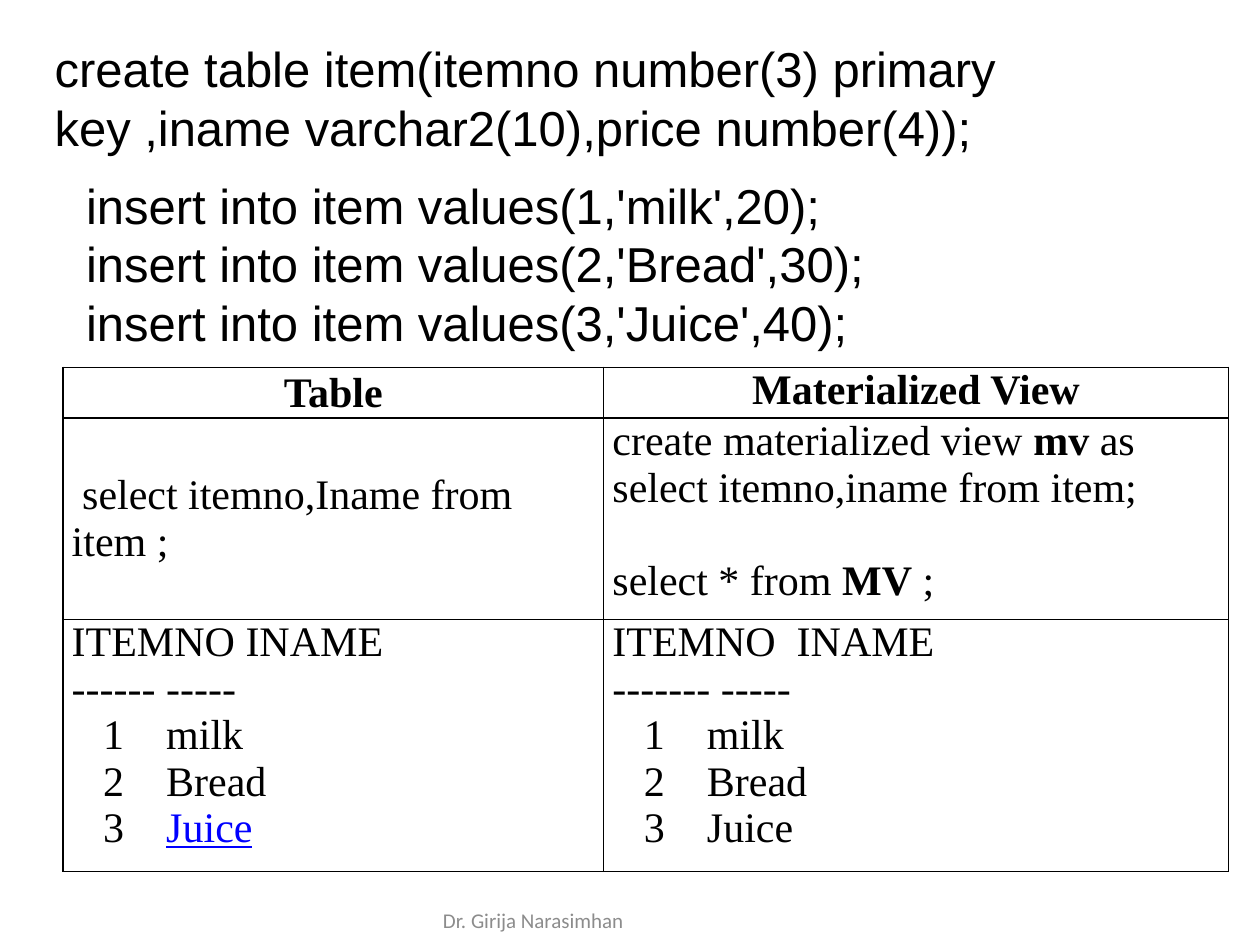
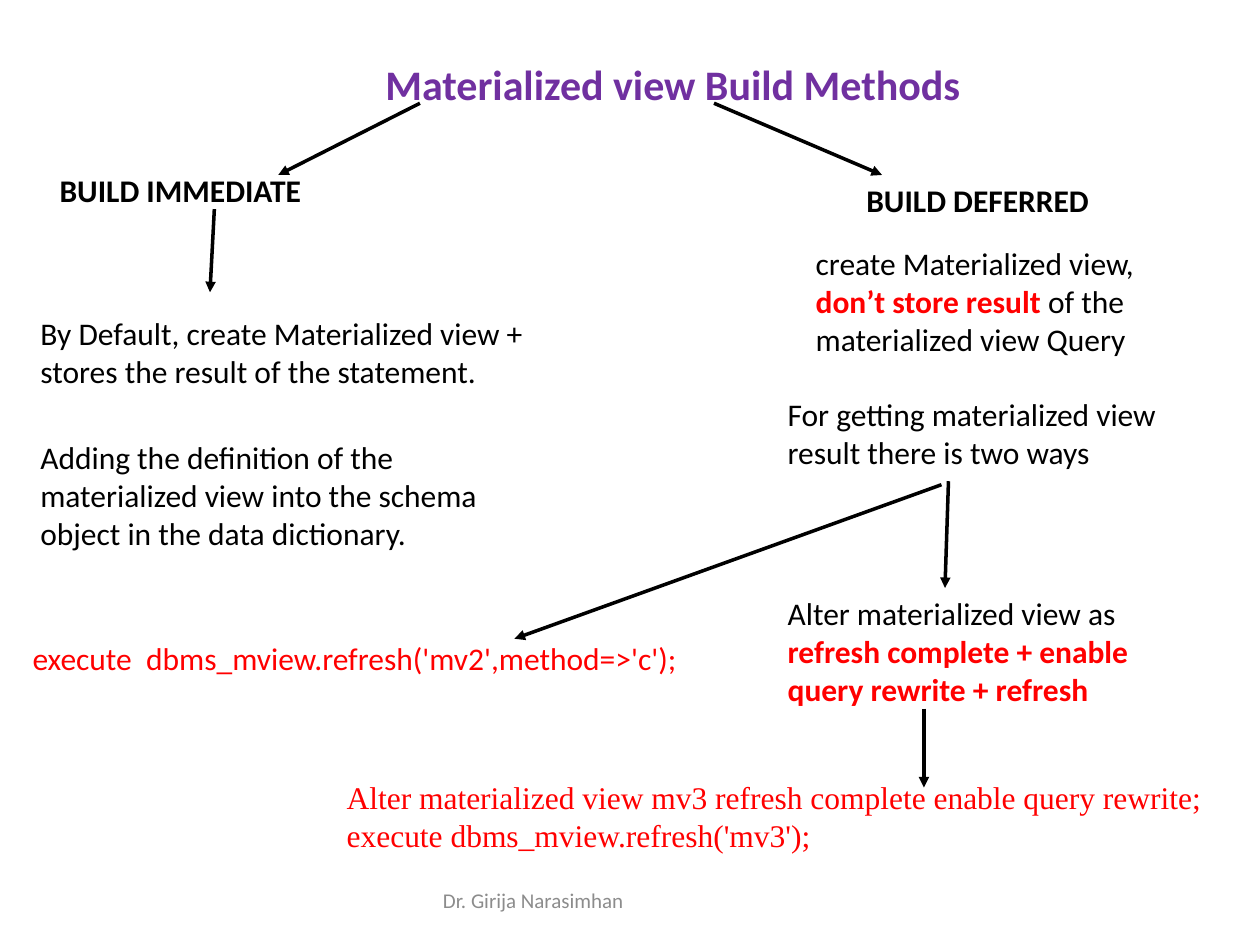
"""Build two slides on materialized views: a table comparison and the build methods."""
import dataclasses

import lxml.etree
import pptx
import pptx.dml.color
import pptx.enum.shapes
import pptx.enum.text
import pptx.oxml.ns
import pptx.util

Pt = pptx.util.Pt
ALIGN = pptx.enum.text.PP_ALIGN
ANCHOR = pptx.enum.text.MSO_ANCHOR


@dataclasses.dataclass(frozen=True)
class Theme:
    """Colours, fonts and type sizes of the deck."""
    ink: str = "000000"
    accent: str = "7030A0"
    alert: str = "FF0000"
    link: str = "0000FF"
    muted: str = "8C8C8C"
    sans: str = "Calibri"
    code: str = "Arial"
    serif: str = "Times New Roman"
    code_size: int = 28
    head_size: int = 24
    body_size: int = 18
    foot_size: int = 12
    arrow_width: int = 2
    border_width: int = 1


T = Theme()
BOLD = {"bold": True}
STRONG = {"bold": True, "color": T.alert}

FOOTER = "Dr. Girija Narasimhan"

CREATE_SQL = ["create table item(itemno number(3) primary key ,iname varchar2(10),price number(4));"]
INSERT_SQL = [f"insert into item values({row});" for row in ("1,'milk',20", "2,'Bread',30", "3,'Juice',40")]
ITEMS = ["1\tmilk", "2\tBread"]

COLUMNS = [309, 357]
ROWS = [29, 115, 144]
LISTED = {"margin": 54, "indent": -36, "first_listed": 2}
COMPARISON = [
    [
        (["Table"], {"bold": True, "align": ALIGN.CENTER, "anchor": ANCHOR.MIDDLE}),
        (["Materialized View"], {"bold": True, "align": ALIGN.CENTER}),
    ],
    [
        (["select itemno,Iname from item ;"], {"indent": 6, "anchor": ANCHOR.MIDDLE}),
        ([["create materialized view ", ("mv", BOLD), " as select itemno,iname from item;"],
          ["select * from ", ("MV", BOLD), " ;"]], {"gap": 27}),
    ],
    [
        (["ITEMNO INAME", "------ -----", *ITEMS,
          ["3\t", ("Juice", {"color": T.link, "underline": True})]], LISTED),
        (["ITEMNO  INAME", "------- -----", *ITEMS, "3\tJuice"], LISTED),
    ],
]

METHODS_TITLE = ["Materialized view Build Methods"]
METHOD_NOTES = [
    ((27, 94, 158, 29), ["BUILD IMMEDIATE"], BOLD),
    ((488, 100, 144, 29), ["BUILD DEFERRED"], BOLD),
    ((16, 176, 336, 51), ["By Default, create Materialized view + stores the result of the statement."], {}),
    ((16, 247, 266, 73),
     ["Adding the definition of the materialized view into the schema object in the data dictionary."], {}),
    ((459, 136, 212, 73),
     [["create Materialized view, ", ("don’t store result ", STRONG), "of the materialized view Query"]], {}),
    ((443, 222, 246, 51), ["For getting materialized view result there is two ways"], {}),
    ((443, 336, 229, 73),
     [["Alter materialized view as ", ("refresh complete + enable query rewrite + refresh", STRONG)]], {}),
    ((11.5, 361.5, 456, 29), ["execute  dbms_mview.refresh('mv2',method=>'c');"], {"color": T.alert}),
    ((191, 441, 531, 73),
     ["Alter materialized view mv3 refresh complete enable query rewrite;",
      "execute dbms_mview.refresh('mv3');"], {"color": T.alert, "font": T.serif}),
]
METHOD_ARROWS = [
    ((240, 59), (159, 100)),
    ((408, 59), (504, 100)),
    ((122.5, 119.5), (120, 167)),
    ((538, 277), (294, 365)),
    ((542, 275), (540, 336)),
    ((528, 405), (528, 450)),
]


def write_text(tf, paragraphs, *, size=T.body_size, font=T.sans, color=T.ink, bold=False,
               align=ALIGN.LEFT, anchor=ANCHOR.TOP, gap=0, margin=0, indent=0, first_listed=0):
    """Fill a text frame; a paragraph is a string or a list of strings and (text, format) runs."""
    tf.word_wrap = True
    tf.vertical_anchor = anchor
    for i, runs in enumerate(paragraphs):
        p = tf.add_paragraph() if i else tf.paragraphs[0]
        p.alignment = align
        p.space_before = Pt(gap if i else 0)
        pPr = p._p.get_or_add_pPr()
        listed = i >= first_listed
        pPr.set("marL", str(Pt(margin if listed else 0)))
        pPr.set("indent", str(Pt(indent if listed else 0)))
        lxml.etree.SubElement(pPr, pptx.oxml.ns.qn("a:buNone"))
        for run in [runs] if isinstance(runs, str) else runs:
            text, extra = (run, {}) if isinstance(run, str) else run
            r = p.add_run()
            r.text = text
            r.font.name = font
            r.font.size = Pt(size)
            r.font.bold = extra.get("bold", bold)
            r.font.underline = extra.get("underline", False)
            r.font.color.rgb = pptx.dml.color.RGBColor.from_string(extra.get("color", color))


def place(sp, box):
    """Move a shape to a box and return its text frame."""
    sp.left, sp.top, sp.width, sp.height = map(Pt, box)
    return sp.text_frame


def add_text(s, box, paragraphs, **fmt):
    """Add a text box with formatted paragraphs."""
    write_text(s.shapes.add_textbox(*map(Pt, box)).text_frame, paragraphs, **fmt)


def add_footer(s, top):
    """Add the shared footer at the given height."""
    add_text(s, (246, top, 228, 29), [FOOTER], size=T.foot_size, color=T.muted, anchor=ANCHOR.MIDDLE)


def add_arrow(s, start, end):
    """Add a straight arrow without a shadow."""
    qn = pptx.oxml.ns.qn
    sp = s.shapes.add_connector(pptx.enum.shapes.MSO_CONNECTOR.STRAIGHT, *map(Pt, start + end))
    sp.line.width = Pt(T.arrow_width)
    sp.line.color.rgb = pptx.dml.color.RGBColor.from_string(T.ink)
    lxml.etree.SubElement(sp.line._get_or_add_ln(), qn("a:tailEnd"), type="triangle")
    lxml.etree.SubElement(sp._element.spPr, qn("a:effectLst"))


def add_borders(cell):
    """Draw a thin line on each side of a cell."""
    qn = pptx.oxml.ns.qn
    tcPr = cell._tc.get_or_add_tcPr()
    for i, side in enumerate("LRTB"):
        ln = lxml.etree.Element(qn(f"a:ln{side}"), w=str(Pt(T.border_width)))
        fill = lxml.etree.SubElement(ln, qn("a:solidFill"))
        lxml.etree.SubElement(fill, qn("a:srgbClr"), val=T.ink)
        tcPr.insert(i, ln)


def add_comparison(s, left, top):
    """Add the bordered comparison table."""
    box = (left, top, sum(COLUMNS), sum(ROWS))
    table = s.shapes.add_table(len(ROWS), len(COLUMNS), *map(Pt, box)).table
    table.first_row = table.horz_banding = False
    for column, width in zip(table.columns, COLUMNS):
        column.width = Pt(width)
    for row, height, contents in zip(table.rows, ROWS, COMPARISON):
        row.height = Pt(height)
        for cell, (paragraphs, fmt) in zip(row.cells, contents):
            cell.margin_left = cell.margin_right = Pt(5)
            cell.margin_top = cell.margin_bottom = 0
            cell.fill.background()
            add_borders(cell)
            write_text(cell.text_frame, paragraphs, size=T.head_size, font=T.serif,
                       **{k: v for k, v in fmt.items() if k != "anchor"})
            cell.vertical_anchor = fmt.get("anchor", ANCHOR.TOP)


def build_comparison_slide(prs):
    """Build the slide with SQL statements and the table."""
    s = prs.slides.add_slide(prs.slide_layouts[1])
    code = {"size": T.code_size, "font": T.code, "anchor": ANCHOR.MIDDLE}
    write_text(place(s.shapes.title, (24, 18, 636, 75)), CREATE_SQL, **code)
    write_text(place(s.placeholders[1], (42, 96, 600, 109)), INSERT_SQL, **code)
    add_comparison(s, 36, 210)
    add_footer(s, 511)


def build_methods_slide(prs):
    """Build the slide with the tree of build methods."""
    s = prs.slides.add_slide(prs.slide_layouts[5])
    write_text(place(s.shapes.title, (213, 30, 347, 36)), METHODS_TITLE,
               size=T.head_size, color=T.accent, bold=True)
    for box, paragraphs, fmt in METHOD_NOTES:
        add_text(s, box, paragraphs, **fmt)
    for start, end in METHOD_ARROWS:
        add_arrow(s, start, end)
    add_footer(s, 500)


def main():
    """Build and save the deck."""
    prs = pptx.Presentation()
    prs.slide_width, prs.slide_height = Pt(720), Pt(540)
    build_comparison_slide(prs)
    build_methods_slide(prs)
    prs.save("out.pptx")


if __name__ == "__main__":
    main()
